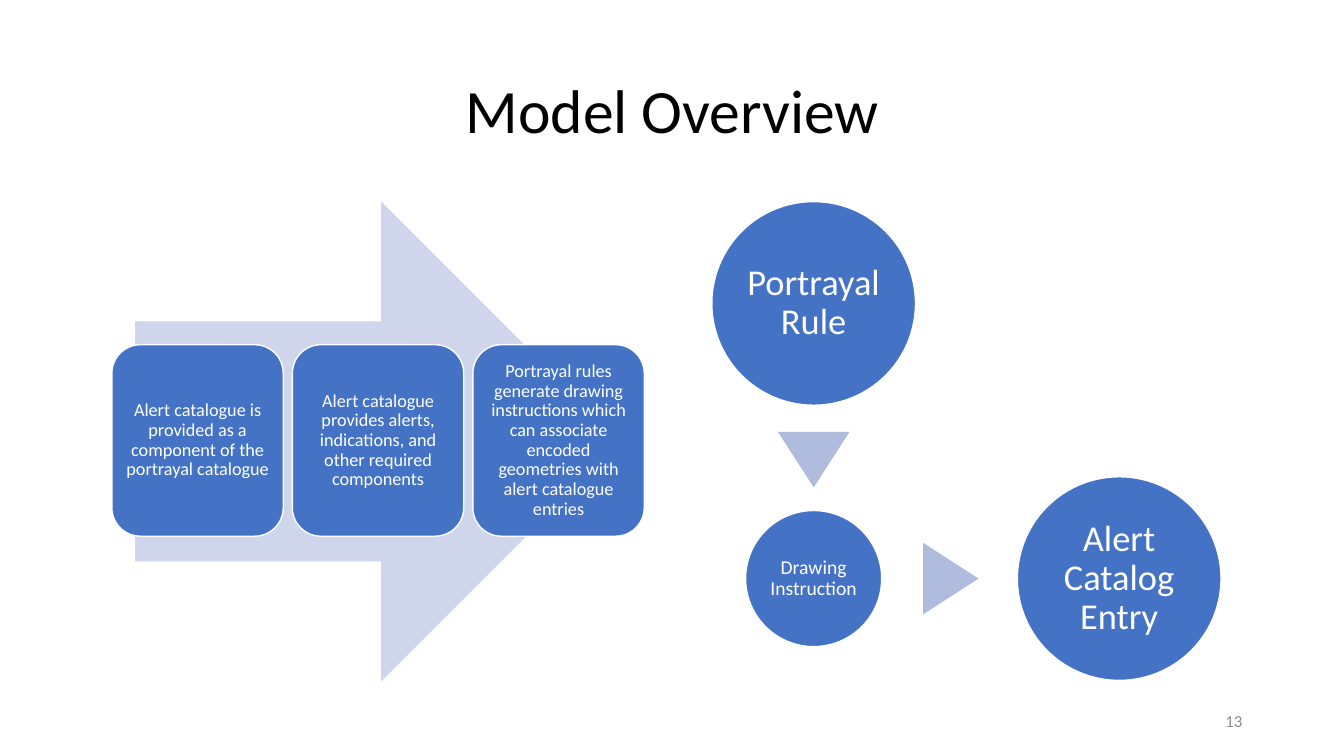
"""Build the Model Overview slide: a process arrow beside a chain of circles."""
import pptx
import pptx.dml.color
import pptx.enum.shapes
import pptx.enum.text
import pptx.util

Inch = pptx.util.Inches
Color = pptx.dml.color.RGBColor
Kind = pptx.enum.shapes.MSO_SHAPE
Align = pptx.enum.text.PP_ALIGN

BLUE = Color(0x44, 0x72, 0xC4)
PALE = Color(0xCF, 0xD5, 0xEA)
SOFT = Color(0xB0, 0xBC, 0xDE)
WHITE = Color(0xFF, 0xFF, 0xFF)
BLACK = Color(0, 0, 0)
GRAY = Color(0x8C, 0x8C, 0x8C)

deck = pptx.Presentation()
deck.slide_width, deck.slide_height = Inch(13.33), Inch(7.5)
slide = deck.slides.add_slide(deck.slide_layouts[6])


def draw(kind, left, top, wide, high, fill, edge=False):
    """Add a flat shape, with a white edge on request."""
    shape = slide.shapes.add_shape(kind, Inch(left), Inch(top), Inch(wide), Inch(high))
    shape.shadow.inherit = False
    shape.fill.solid()
    shape.fill.fore_color.rgb = fill
    if edge:
        shape.line.color.rgb = WHITE
        shape.line.width = pptx.util.Pt(1)
    else:
        shape.line.fill.background()
    return shape


def write(shape, text, size, color, align=Align.CENTER, inset=None, lead=0.9):
    """Put one styled paragraph in the middle of a shape."""
    frame = shape.text_frame
    frame.text = text
    frame.word_wrap = True
    frame.vertical_anchor = pptx.enum.text.MSO_ANCHOR.MIDDLE
    if inset is not None:
        frame.margin_left = frame.margin_right = Inch(inset)
        frame.margin_top = frame.margin_bottom = Inch(inset)
    para = frame.paragraphs[0]
    para.alignment = align
    para.line_spacing = lead
    font = para.runs[0].font
    font.name, font.size = "Calibri", pptx.util.Pt(size)
    font.color.rgb = color


title = slide.shapes.add_textbox(Inch(0.92), Inch(0.4), Inch(11.5), Inch(1.45))
write(title, "Model Overview", 44, BLACK)

draw(Kind.RIGHT_ARROW, 1.34, 2, 4.82, 4.76, PALE)
steps = [
    "Alert catalogue is provided as a component of the portrayal catalogue",
    "Alert catalogue provides alerts, indications, and other required components",
    "Portrayal rules generate drawing instructions which can associate encoded "
    "geometries with alert catalogue entries",
]
for col, text in enumerate(steps):
    card = draw(Kind.ROUNDED_RECTANGLE, 1.11 + 1.79 * col, 3.42, 1.7, 1.9, BLUE, True)
    write(card, text, 13, WHITE, inset=0.05)

left, right, upper, lower = 8.07, 11.1, 3.01, 5.74
nodes = [
    ("Portrayal Rule", left, upper, 2.02, 26, 0.04),
    ("Drawing Instruction", left, lower, 1.35, 14, 0.02),
    ("Alert Catalog Entry", right, lower, 2.02, 26, 0.04),
]
for text, x, y, wide, size, inset in nodes:
    disc = draw(Kind.OVAL, x - wide / 2, y - wide / 2, wide, wide, BLUE, True)
    write(disc, text, size, WHITE, inset=inset)

wide, high = 0.71, 0.55
for x, y, turn in [(left, 4.56, 180), (9.43, lower, 90)]:
    mark = draw(Kind.ISOSCELES_TRIANGLE, x - wide / 2, y - high / 2, wide, high, SOFT)
    mark.rotation = turn

number = slide.shapes.add_textbox(Inch(9.42), Inch(6.95), Inch(3), Inch(0.4))
write(number, "13", 12, GRAY, Align.RIGHT, lead=1.0)

deck.save("out.pptx")
